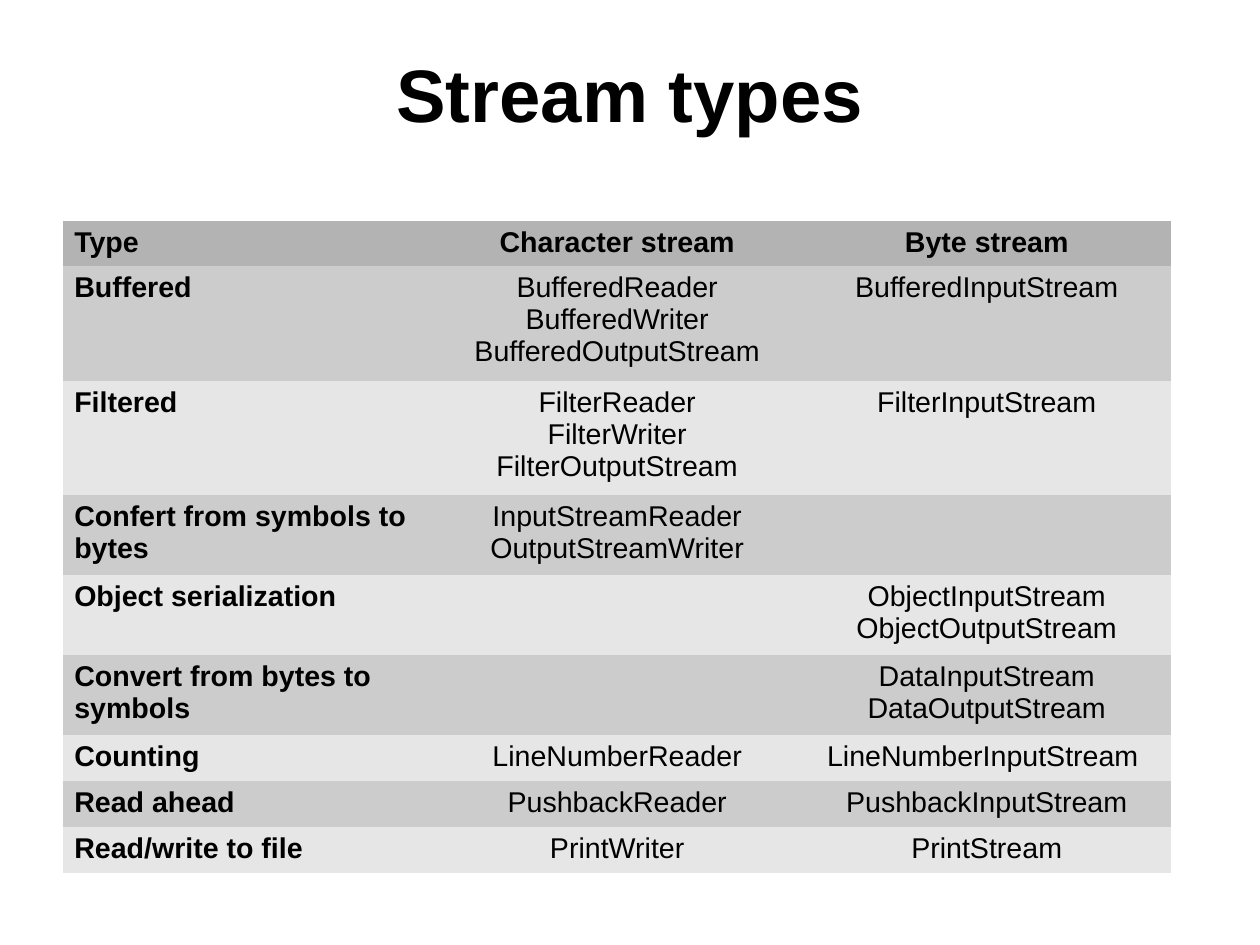
from pptx import Presentation
from pptx.dml.color import RGBColor
from pptx.enum.text import MSO_ANCHOR, PP_ALIGN
from pptx.oxml.ns import qn
from pptx.util import Inches, Pt


def color(hex_string):
    return RGBColor.from_string(hex_string)


def style_text(paragraph, size, bold, align):
    paragraph.alignment = align
    for run in paragraph.runs:
        run.font.name = "Arial"
        run.font.size = Pt(size)
        run.font.bold = bold
        run.font.color.rgb = color("000000")


STREAMS = [
    ("Type", "Character stream", "Byte stream"),
    ("Buffered", "BufferedReader\nBufferedWriter\nBufferedOutputStream", "BufferedInputStream"),
    ("Filtered", "FilterReader\nFilterWriter\nFilterOutputStream", "FilterInputStream"),
    ("Confert from symbols to bytes", "InputStreamReader\nOutputStreamWriter", ""),
    ("Object serialization", "", "ObjectInputStream\nObjectOutputStream"),
    ("Convert from bytes to symbols", "", "DataInputStream\nDataOutputStream"),
    ("Counting", "LineNumberReader", "LineNumberInputStream "),
    ("Read ahead", "PushbackReader", "PushbackInputStream"),
    ("Read/write to file", "PrintWriter", "PrintStream"),
]
HEADER_FILL = "B3B3B3"
BAND_FILLS = ["E6E6E6", "CCCCCC"]
NO_STYLE_NO_GRID = "{2D5ABB26-0587-4C30-8999-92F81FD0307C}"
CM_PER_INCH = 2.54

prs = Presentation()
prs.slide_width = Inches(28 / CM_PER_INCH)
prs.slide_height = Inches(21 / CM_PER_INCH)
slide = prs.slides.add_slide(prs.slide_layouts[6])

title = slide.shapes.add_textbox(Inches(0.55), Inches(0.33), Inches(9.92), Inches(0.97)).text_frame
title.word_wrap = True
title.vertical_anchor = MSO_ANCHOR.MIDDLE
title.margin_left = title.margin_right = title.margin_top = title.margin_bottom = 0
title.text = "Stream types"
style_text(title.paragraphs[0], 46.8, True, PP_ALIGN.CENTER)

streams = slide.shapes.add_table(
    len(STREAMS), 3, Inches(0.55), Inches(1.93), Inches(9.7), Inches(5.7)
).table
streams.first_row = streams.horz_banding = False
streams._tbl.tblPr.find(qn("a:tableStyleId")).text = NO_STYLE_NO_GRID

for row, entries in enumerate(STREAMS):
    line_count = max(entry.count("\n") + 1 for entry in entries)
    streams.rows[row].height = Inches(0.1 + 0.3 * line_count)
    fill = BAND_FILLS[row % 2] if row else HEADER_FILL
    for column, entry in enumerate(entries):
        cell = streams.cell(row, column)
        cell.fill.solid()
        cell.fill.fore_color.rgb = color(fill)
        cell.text_frame.text = entry
        align = PP_ALIGN.CENTER if column else PP_ALIGN.LEFT
        for paragraph in cell.text_frame.paragraphs:
            style_text(paragraph, 18, row == 0 or column == 0, align)

prs.save("out.pptx")
